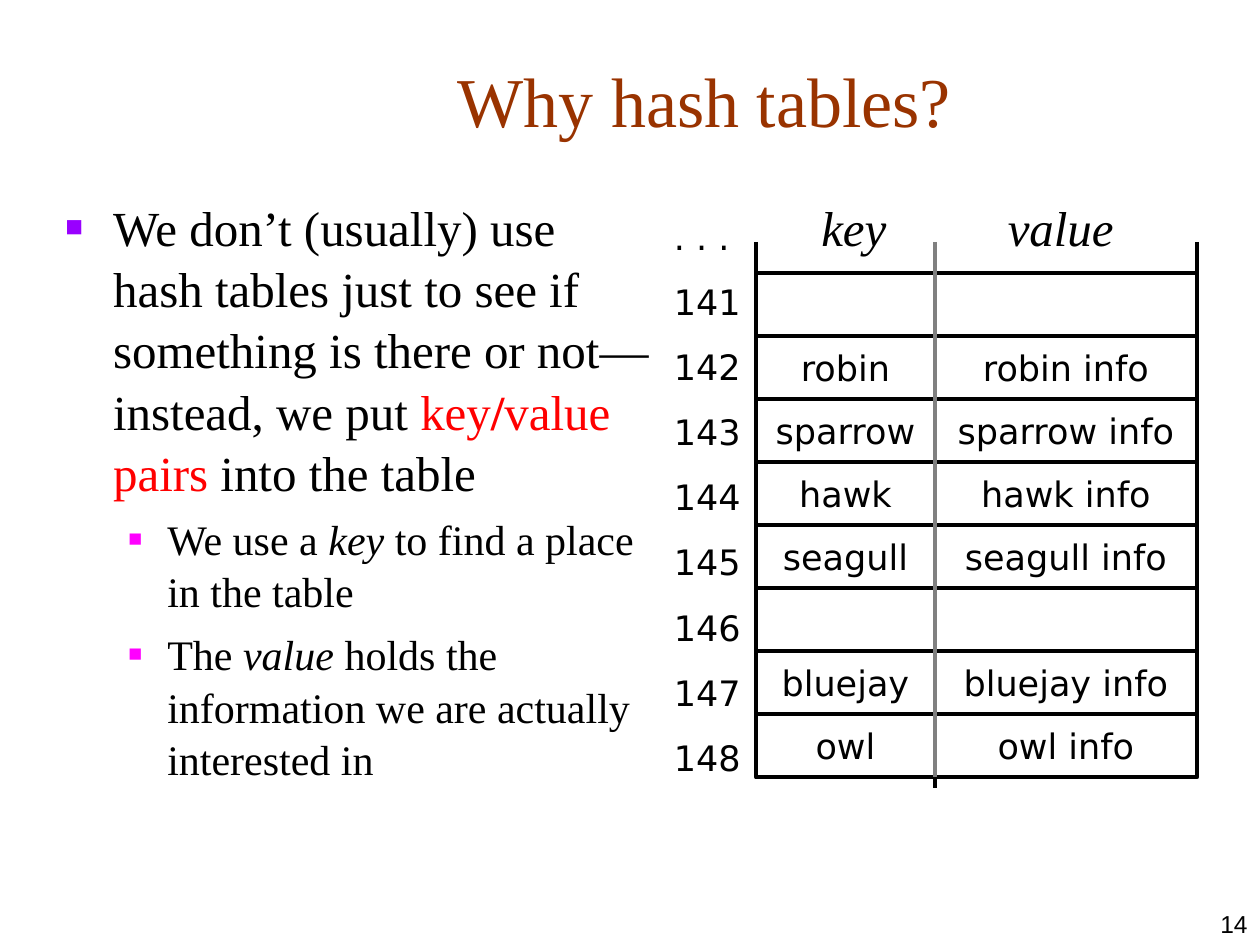
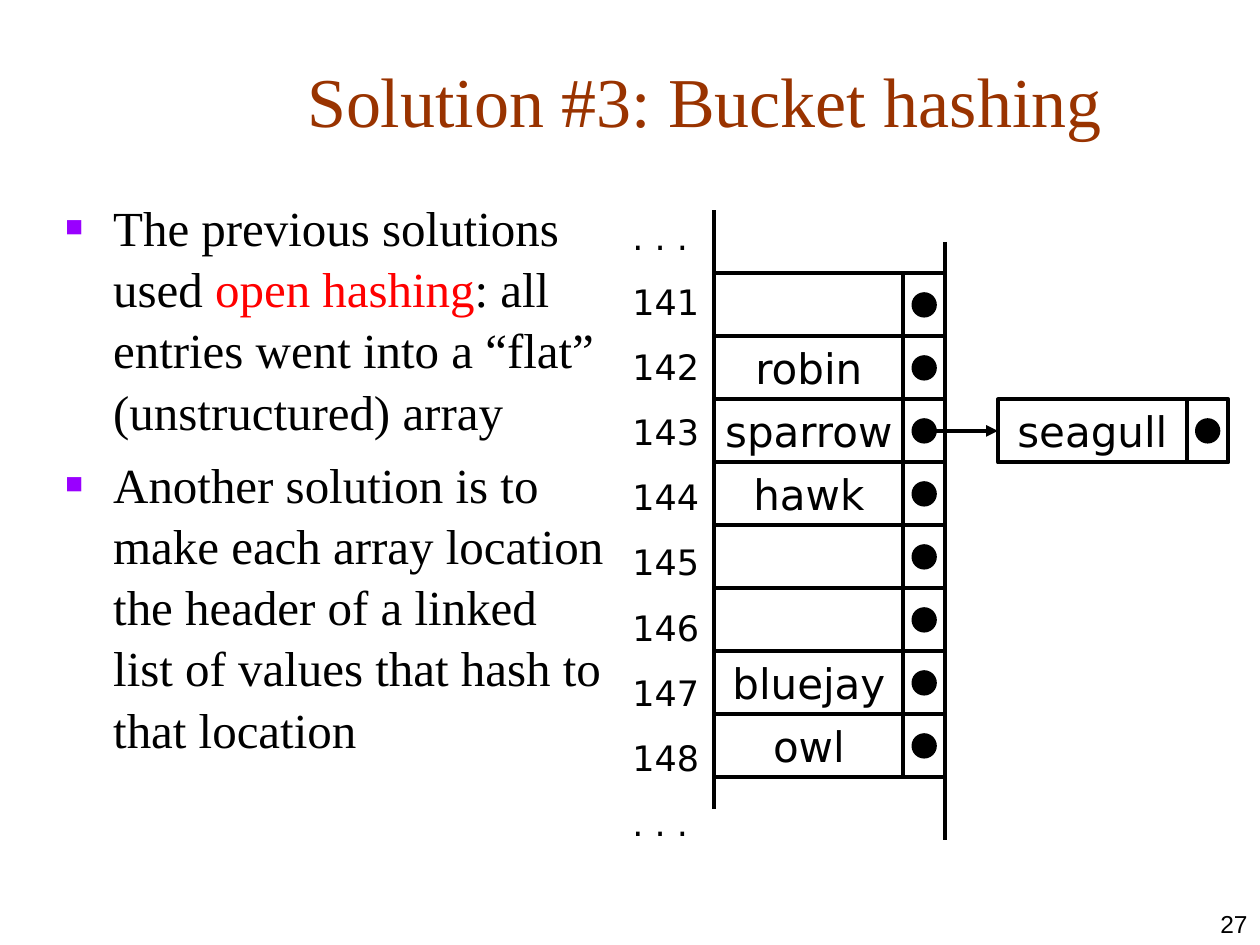
from dataclasses import dataclass

from lxml import etree
from pptx import Presentation
from pptx.dml.color import RGBColor
from pptx.enum.shapes import MSO_CONNECTOR, MSO_SHAPE
from pptx.enum.text import MSO_ANCHOR, MSO_AUTO_SIZE, PP_ALIGN
from pptx.oxml.ns import qn
from pptx.util import Inches, Pt

LEFT, CENTER, RIGHT = PP_ALIGN.LEFT, PP_ALIGN.CENTER, PP_ALIGN.RIGHT
TOP, MIDDLE, BOTTOM = MSO_ANCHOR.TOP, MSO_ANCHOR.MIDDLE, MSO_ANCHOR.BOTTOM
PROCESS, OVAL = MSO_SHAPE.FLOWCHART_PROCESS, MSO_SHAPE.OVAL
STRAIGHT = MSO_CONNECTOR.STRAIGHT
NO_FIT = MSO_AUTO_SIZE.NONE


@dataclass(frozen=True)
class Theme:
    ink: str = "000000"
    title: str = "993300"
    accent: str = "FF0000"
    divider: str = "808080"
    serif: str = "Times New Roman"
    sans: str = "DejaVu Sans"
    number_font: str = "Arial"
    title_size: int = 40
    body_size: int = 28
    sub_size: int = 24
    cell_size: int = 20
    number_size: int = 14
    line: float = 2.25
    body_spacing: float = 1.04
    index_spacing: float = 1.03
    index_gap: float = 12.5


@dataclass(frozen=True)
class Bullet:
    margin: float
    hang: float
    before: int
    color: str
    percent: int
    size: int


T = Theme()
BULLETS = (Bullet(0.38, 0.38, 7, "9900FF", 60, T.body_size),
           Bullet(0.81, 0.31, 6, "FF00FF", 55, T.sub_size))
ROW = 0.5
LINK = 0.33
DOT = 0.17
FIRST_ROW = 0.52
INDEX_WIDTH = 0.75
INDEXES = [str(n) for n in range(141, 149)]


def write(p, text, font=T.serif, size=T.body_size, color=T.ink,
          bold=False, italic=False, align=None):
    if align is not None:
        p.alignment = align
    r = p.add_run()
    r.text = text
    r.font.name = font
    r.font.size = Pt(size)
    r.font.bold = bold
    r.font.italic = italic
    r.font.color.rgb = RGBColor.from_string(color)


def add_box(s, x, y, w, h, anchor=TOP):
    tf = s.shapes.add_textbox(Inches(x), Inches(y), Inches(w), Inches(h)).text_frame
    tf.word_wrap = True
    tf.auto_size = NO_FIT
    tf.vertical_anchor = anchor
    return tf


def add_shape(s, kind, x, y, w, h, fill=None):
    sp = s.shapes.add_shape(kind, Inches(x), Inches(y), Inches(w), Inches(h))
    sp.shadow.inherit = False
    if fill:
        sp.fill.solid()
        sp.fill.fore_color.rgb = RGBColor.from_string(fill)
    else:
        sp.fill.background()
    sp.line.color.rgb = RGBColor.from_string(T.ink)
    sp.line.width = Pt(T.line)
    return sp


def add_line(s, x1, y1, x2, y2, color=T.ink, arrow=False):
    c = s.shapes.add_connector(STRAIGHT, Inches(x1), Inches(y1), Inches(x2), Inches(y2))
    c.line.color.rgb = RGBColor.from_string(color)
    c.line.width = Pt(T.line)
    if arrow:
        etree.SubElement(c.line._get_or_add_ln(), qn("a:tailEnd"), type="triangle")
    etree.SubElement(c._element.spPr, qn("a:effectLst"))


def add_cell(s, x, y, w, text, size):
    sp = add_shape(s, PROCESS, x, y, w, ROW)
    if text:
        tf = sp.text_frame
        tf.word_wrap = False
        tf.vertical_anchor = MIDDLE
        write(tf.paragraphs[0], text, font=T.sans, size=size, align=CENTER)


def add_column(s, x, y, w, words, size):
    for i, word in enumerate(words):
        add_cell(s, x, y + i * ROW, w, word, size)


def add_link(s, x, y):
    add_shape(s, PROCESS, x, y, LINK, ROW)
    add_shape(s, OVAL, x + (LINK - DOT) / 2, y + (ROW - DOT) / 2, DOT, DOT, fill=T.ink)


def add_index(s, x, y, labels):
    tf = add_box(s, x, y, INDEX_WIDTH, 5)
    for i, label in enumerate(labels):
        p = tf.add_paragraph() if i else tf.paragraphs[0]
        p.line_spacing = T.index_spacing
        if i:
            p.space_before = Pt(T.index_gap)
        write(p, label, font=T.sans, size=T.cell_size, align=LEFT)


def set_bullet(p, bullet):
    pPr = p._p.get_or_add_pPr()
    pPr.set("marL", str(Inches(bullet.margin)))
    pPr.set("indent", str(-Inches(bullet.hang)))
    color = etree.SubElement(pPr, qn("a:buClr"))
    etree.SubElement(color, qn("a:srgbClr"), val=bullet.color)
    etree.SubElement(pPr, qn("a:buSzPct"), val=str(bullet.percent * 1000))
    etree.SubElement(pPr, qn("a:buFont"), typeface=T.serif)
    etree.SubElement(pPr, qn("a:buChar"), char="■")


def add_body(s, x, y, w, h, items):
    tf = add_box(s, x, y, w, h)
    for i, (level, runs) in enumerate(items):
        p = tf.add_paragraph() if i else tf.paragraphs[0]
        bullet = BULLETS[level]
        p.level = level
        set_bullet(p, bullet)
        p.line_spacing = T.body_spacing
        if i:
            p.space_before = Pt(bullet.before)
        for text, style in runs:
            write(p, text, size=bullet.size, **style)


def add_slide(prs, title, number):
    s = prs.slides.add_slide(prs.slide_layouts[5])
    sp = s.shapes.title
    sp.left, sp.top, sp.width, sp.height = map(Inches, (1.33, 0.25, 8.52, 0.92))
    sp.text_frame.auto_size = NO_FIT
    sp.text_frame.vertical_anchor = BOTTOM
    write(sp.text_frame.paragraphs[0], title, size=T.title_size, color=T.title, align=CENTER)
    tf = add_box(s, 7.92, 7, 2.08, 0.5, anchor=BOTTOM)
    write(tf.paragraphs[0], str(number), font=T.number_font, size=T.number_size, align=RIGHT)
    return s


def add_key_value_table(s, x, y, key_width, value_width):
    birds = ["", "robin", "sparrow", "hawk", "seagull", "", "bluejay", "owl"]
    left = x + INDEX_WIDTH
    middle = left + key_width
    right = middle + value_width
    top = y + FIRST_ROW
    bottom = top + len(birds) * ROW
    add_index(s, x, y, [". . ."] + INDEXES)
    add_column(s, left, top, key_width, birds, T.cell_size)
    add_line(s, middle, top - 0.17, middle, bottom + 0.08)
    add_column(s, middle, top, value_width,
               [bird and f"{bird} info" for bird in birds], T.cell_size)
    for edge, color in ((left, T.ink), (middle, T.divider), (right, T.ink)):
        add_line(s, edge, top - ROW / 2, edge, bottom, color=color)
    for heading, offset in (("key", 0.42), ("value", 1.9)):
        p = add_box(s, left + offset, y - 0.15, 1.4, 0.57).paragraphs[0]
        p.line_spacing = T.body_spacing
        write(p, heading, italic=True, align=LEFT)


def add_bucket_table(s, x, y, cell_width):
    birds = ["", "robin", "sparrow", "hawk", "", "", "bluejay", "owl"]
    left = x + INDEX_WIDTH
    links = left + cell_width
    right = links + LINK
    top = y + FIRST_ROW
    bottom = top + len(birds) * ROW
    add_index(s, x, y, [". . ."] + INDEXES + [". . ."])
    add_column(s, left, top, cell_width, birds, T.sub_size)
    add_line(s, left, top - ROW, left, bottom + ROW / 2)
    add_line(s, right, top - ROW / 2, right, bottom + ROW)
    for i in range(len(birds)):
        add_link(s, links, top + i * ROW)
    node = right + 0.42
    node_top = top + birds.index("sparrow") * ROW
    add_cell(s, node, node_top, cell_width, "seagull", T.sub_size)
    add_link(s, node + cell_width, node_top)
    add_line(s, links + LINK / 2, node_top + ROW / 2, node, node_top + ROW / 2, arrow=True)


def why_slide(prs):
    s = add_slide(prs, "Why hash tables?", 14)
    red = {"color": T.accent}
    italic = {"italic": True}
    add_body(s, 0.42, 1.5, 4.87, 5.21, [
        (0, [("We don’t (usually) use hash tables just to see if something is there "
              "or not—instead, we put ", {}),
             ("key", red), ("/", {**red, "bold": True}), ("value pairs", red),
             (" into the table", {})]),
        (1, [("We use a ", {}), ("key", italic), (" to find a place in the table", {})]),
        (1, [("The ", {}), ("value", italic),
             (" holds the information we are actually interested in", {})]),
    ])
    add_key_value_table(s, 5.25, 1.65, 1.42, 2.08)


def bucket_slide(prs):
    s = add_slide(prs, "Solution #3: Bucket hashing", 27)
    add_body(s, 0.42, 1.5, 4.51, 5.21, [
        (0, [("The previous solutions used ", {}), ("open hashing", {"color": T.accent}),
             (": all entries went into a “flat” (unstructured) array", {})]),
        (0, [("Another solution is to make each array location the header of a linked "
              "list of values that hash to that location", {})]),
    ])
    add_bucket_table(s, 4.92, 1.65, 1.5)


def main():
    prs = Presentation()
    prs.slide_width, prs.slide_height = Inches(10), Inches(7.5)
    why_slide(prs)
    bucket_slide(prs)
    prs.save("out.pptx")


if __name__ == "__main__":
    main()
